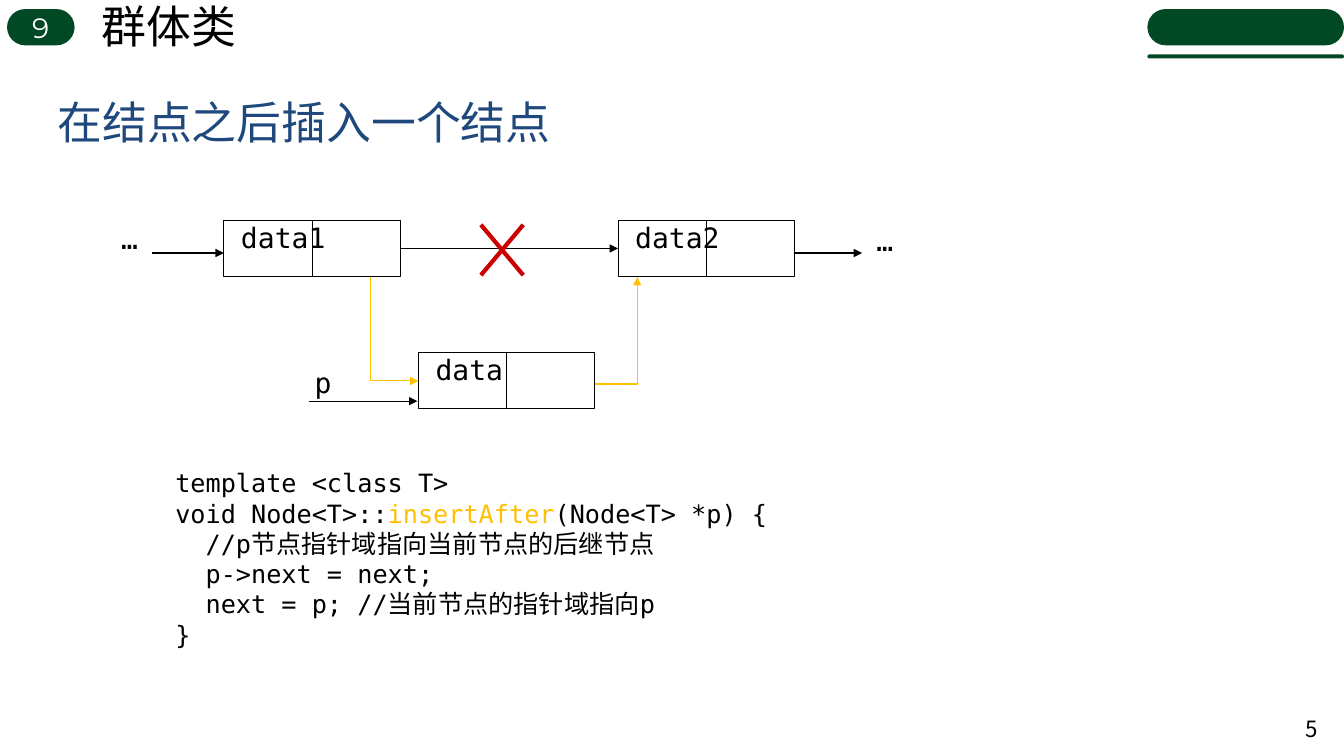
from lxml import etree
from pptx import Presentation
from pptx.dml.color import RGBColor
from pptx.enum.shapes import MSO_CONNECTOR, MSO_SHAPE
from pptx.enum.text import MSO_ANCHOR, PP_ALIGN
from pptx.oxml.ns import qn
from pptx.util import Inches, Pt

RECT, PILL = MSO_SHAPE.RECTANGLE, MSO_SHAPE.ROUNDED_RECTANGLE
STRAIGHT = MSO_CONNECTOR.STRAIGHT
TOP, MIDDLE = MSO_ANCHOR.TOP, MSO_ANCHOR.MIDDLE
LEFT, CENTER, RIGHT = PP_ALIGN.LEFT, PP_ALIGN.CENTER, PP_ALIGN.RIGHT
SIDE_LEFT, SIDE_RIGHT = 1, 3

BLACK = RGBColor(0, 0, 0)
WHITE = RGBColor(0xFF, 0xFF, 0xFF)
GREEN = RGBColor(0x01, 0x49, 0x24)
NAVY = RGBColor(0x1F, 0x49, 0x7D)
GOLD = RGBColor(0xFF, 0xC0, 0x00)
RED = RGBColor(0xCC, 0, 0)
MONO, SANS, HEAD, CJK = "DejaVu Sans Mono", "Arial", "Montserrat", "Noto Sans CJK SC"

TITLE = "在结点之后插入一个结点"
CHAPTER = "群体类"
CHAPTER_NO, PAGE_NO = "9", "5"
CODE = [
    [("template <class T>", BLACK)],
    [("void Node<T>::", BLACK), ("insertAfter", GOLD), ("(Node<T> *p) {", BLACK)],
    [("  //p节点指针域指向当前节点的后继节点", BLACK)],
    [("  p->next = next;", BLACK)],
    [("  next = p; //当前节点的指针域指向p", BLACK)],
    [("}", BLACK)],
]
NODE_W, NODE_H = 1.75, 0.55
ROW_1, ROW_2 = 2.19, 3.5
NODES = {"data1": (2.22, ROW_1), "data2": (6.13, ROW_1), "data": (4.15, ROW_2)}
BADGES = [(0.07, 0.09, 0.67, 0.36), (11.38, 0.09, 1.95, 0.36), (11.38, 0.54, 1.95, 0.04)]
LABELS = [  # text, box, size, font, alignment, anchor, margins
    (CHAPTER, (0.91, -0.06, 1.55, 0.64), 32, SANS, LEFT, TOP, (0.1, 0.05)),
    (PAGE_NO, (12.68, 7.03, 0.49, 0.4), 16, CJK, RIGHT, MIDDLE, (0.1, 0.05)),
    ("…", (0.95, 2.2, 0.67, 0.43), 20, MONO, CENTER, TOP, (0, 0)),
    ("…", (8.29, 2.17, 0.97, 0.6), 20, MONO, CENTER, TOP, (0.1, 0.05)),
    ("p", (3.12, 3.63, 0.65, 0.44), 20, MONO, LEFT, TOP, (0, 0)),
]
ARROWS = [(1.51, 2.51, 2.22, 2.51), (7.88, 2.51, 8.55, 2.51), (3.06, 3.98, 4.14, 3.98)]
CROSS = [(5.19, 2.23, 4.77, 2.73), (4.77, 2.23, 5.19, 2.73)]
LINKS = [
    [(3.67, 2.75), (3.67, 3.78), (4.15, 3.78)],
    [(5.9, 3.81), (6.32, 3.81), (6.32, 2.75)],
]

prs = Presentation()
prs.slide_width, prs.slide_height = Inches(13.33), Inches(7.5)
slide = prs.slides.add_slide(prs.slide_layouts[5])
shapes = slide.shapes


def inches(values):
    return [Inches(v) for v in values]


def write(sp, lines, size, font, align=LEFT, anchor=TOP, margins=(0.1, 0.05)):
    """Fill a shape with lines, each a list of (text, colour) runs."""
    tf = sp.text_frame
    x, y = inches(margins)
    frame = dict(word_wrap=True, vertical_anchor=anchor, margin_left=x,
                 margin_right=x, margin_top=y, margin_bottom=y)
    for name, value in frame.items():
        setattr(tf, name, value)
    for i, runs in enumerate(lines):
        p = tf.add_paragraph() if i else tf.paragraphs[0]
        p.alignment = align
        for text, color in runs:
            r = p.add_run()
            r.text = text
            r.font.name, r.font.size = font, Pt(size)
            r.font.color.rgb = color


def style_line(sp, color, width=0.75, arrow=False):
    sp.line.color.rgb, sp.line.width = color, Pt(width)
    if arrow:
        etree.SubElement(sp.line._get_or_add_ln(), qn("a:tailEnd"), type="triangle")


def add_line(ends, color=BLACK, width=0.75, arrow=False):
    sp = shapes.add_connector(STRAIGHT, *inches(ends))
    style_line(sp, color, width, arrow)
    etree.SubElement(sp._element.spPr, qn("a:effectLst"))
    return sp


def add_node(label, x, y):
    """Draw a list node: a data cell and a pointer cell."""
    sp = shapes.add_shape(RECT, *inches((x, y, NODE_W, NODE_H)))
    sp.shadow.inherit = False
    sp.fill.background()
    style_line(sp, BLACK)
    write(sp, [[(label, BLACK)]], 20, MONO, margins=(0.17, 0))
    middle = x + NODE_W / 2
    add_line((middle, y, middle, y + NODE_H))
    return sp


def add_badge(box):
    sp = shapes.add_shape(PILL, *inches(box))
    sp.shadow.inherit = False
    sp.adjustments[0] = 0.5
    sp.fill.solid()
    sp.fill.fore_color.rgb = GREEN
    sp.line.fill.background()
    return sp


title = shapes.title
title.left, title.top, title.width, title.height = inches((0.47, 0.62, 9, 1.17))
write(title, [[(TITLE, NAVY)]], 32, HEAD, anchor=MIDDLE)

badges = [add_badge(box) for box in BADGES]
write(badges[0], [[(CHAPTER_NO, WHITE)]], 20, HEAD, CENTER, MIDDLE)

for text, box, *style in LABELS:
    write(shapes.add_textbox(*inches(box)), [[(text, BLACK)]], *style)

nodes = {label: add_node(label, *at) for label, at in NODES.items()}
old_link = add_line((0, 0, 1, 1), arrow=True)
old_link.begin_connect(nodes["data1"], SIDE_RIGHT)
old_link.end_connect(nodes["data2"], SIDE_LEFT)

for ends in ARROWS:
    add_line(ends, arrow=True)
for ends in CROSS:
    add_line(ends, RED, 3)
for start, *rest in LINKS:
    builder = shapes.build_freeform(*inches(start))
    builder.add_line_segments([inches(pt) for pt in rest], close=False)
    link = builder.convert_to_shape()
    link.shadow.inherit = False
    link.fill.background()
    style_line(link, GOLD, arrow=True)

write(shapes.add_textbox(*inches((1.64, 4.59, 8.17, 1.92))), CODE, 18, MONO)

prs.save("out.pptx")
